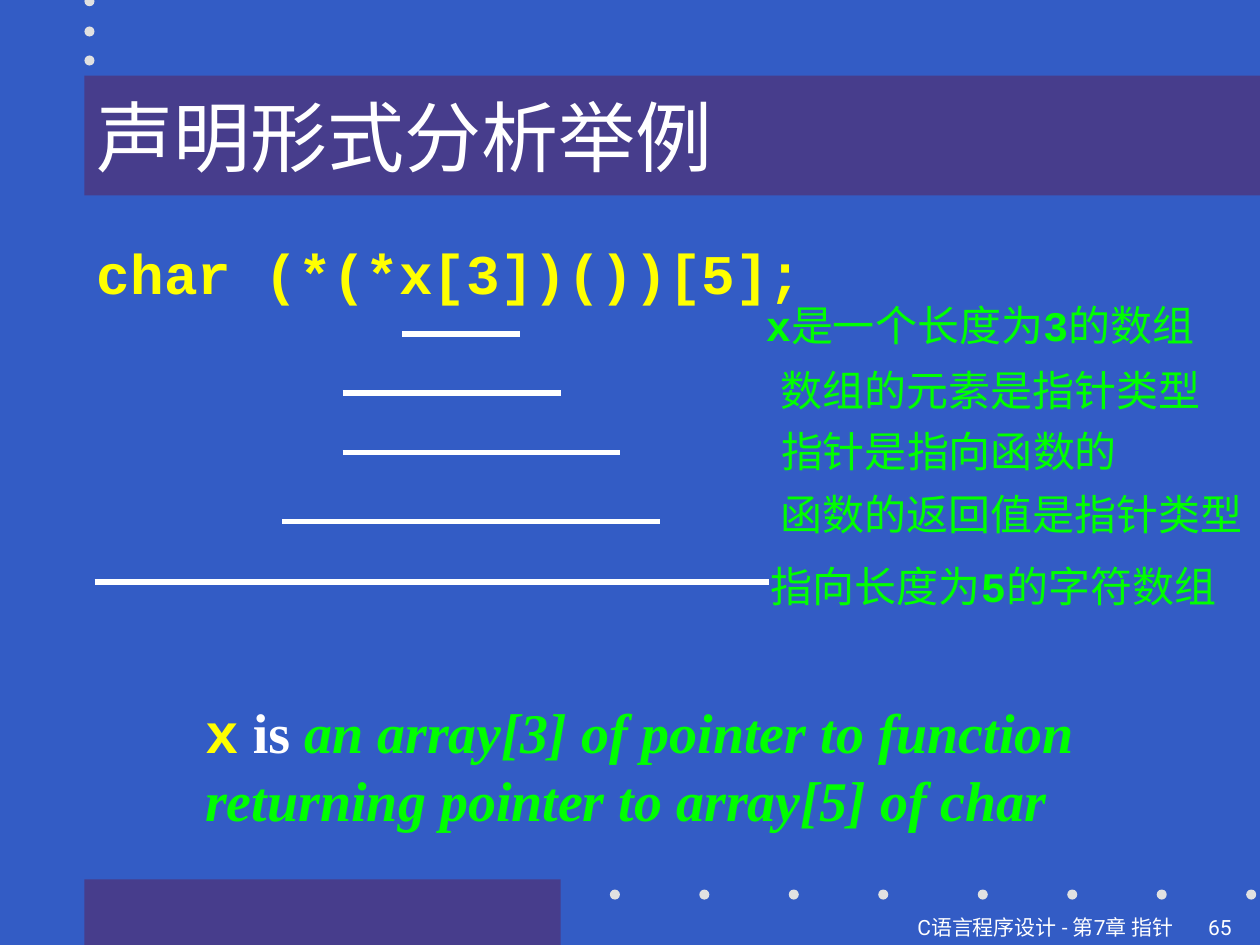
import dataclasses

import pptx
import pptx.dml.color
import pptx.enum.shapes
import pptx.enum.text
import pptx.oxml
import pptx.oxml.ns
import pptx.presentation
import pptx.shapes.autoshape
import pptx.slide
import pptx.text.text
import pptx.util

Inches = pptx.util.Inches
SHAPES = pptx.enum.shapes.MSO_SHAPE
ALIGN = pptx.enum.text.PP_ALIGN

COLORS = {
    "background": "335CC5",
    "band": "473D8C",
    "dot": "E1E1E1",
    "plain": "FFFFFF",
    "code": "FFFF00",
    "meaning": "00FF00",
}
CODE_FONT, PROSE_FONT, FOOTER_FONT = "Courier New", "Times New Roman", "Roboto"
DOT_SIZE = 0.08


@dataclasses.dataclass(frozen=True)
class Span:
    text: str
    size: int
    font: str
    color: str
    bold: bool = False
    italic: bool = False


@dataclasses.dataclass(frozen=True)
class Box:
    left: float
    top: float
    width: float
    height: float

    def lengths(self) -> list[pptx.util.Length]:
        return [Inches(v) for v in (self.left, self.top, self.width, self.height)]


@dataclasses.dataclass(frozen=True)
class Step:
    """One reading step: the underlined part of the declaration and its meaning."""
    line_start: float
    line_end: float
    line_y: float
    box: Box
    spans: list[Span]


def rgb(name: str) -> pptx.dml.color.RGBColor:
    return pptx.dml.color.RGBColor.from_string(COLORS[name])


def meaning(text: str, bold: bool = False) -> Span:
    return Span(text, 24, CODE_FONT, "meaning", bold)


def sentence(text: str) -> Span:
    return Span(text, 32, PROSE_FONT, "meaning", True, True)


def footer(text: str) -> Span:
    return Span(text, 12, FOOTER_FONT, "plain")


STEPS = [
    Step(3.19, 4.13, 2.65, Box(5.98, 2.33, 3.9, 0.5),
         [meaning("x", True), meaning("是一个长度为"), meaning("3", True), meaning("的数组")]),
    Step(2.72, 4.45, 3.12, Box(6.1, 2.84, 3.6, 0.5), [meaning("数组的元素是指针类型")]),
    Step(2.72, 4.92, 3.59, Box(6.1, 3.33, 2.95, 0.5), [meaning("指针是指向函数的")]),
    Step(2.24, 5.24, 4.14, Box(6.1, 3.83, 3.9, 0.5), [meaning("函数的返回值是指针类型")]),
    Step(0.75, 6.1, 4.62, Box(6.02, 4.4, 3.95, 0.5),
         [meaning("指向长度为"), meaning("5", True), meaning("的字符数组")]),
]


def add_spans(paragraph: pptx.text.text._Paragraph, spans: list[Span]) -> None:
    for span in spans:
        run = paragraph.add_run()
        run.text = span.text
        run.font.size = pptx.util.Pt(span.size)
        run.font.name = span.font
        run.font.bold = span.bold
        run.font.italic = span.italic
        run.font.color.rgb = rgb(span.color)


def add_text(slide: pptx.slide.Slide, box: Box, lines: list[list[Span]],
             wrap: bool = False, align: ALIGN = ALIGN.LEFT) -> None:
    frame = slide.shapes.add_textbox(*box.lengths()).text_frame
    frame.word_wrap = wrap
    if not wrap:
        frame.auto_size = pptx.enum.text.MSO_AUTO_SIZE.SHAPE_TO_FIT_TEXT
    for index, spans in enumerate(lines):
        paragraph = frame.add_paragraph() if index else frame.paragraphs[0]
        paragraph.alignment = align
        add_spans(paragraph, spans)


def add_filled(slide: pptx.slide.Slide, kind: SHAPES, box: Box,
               color: str) -> pptx.shapes.autoshape.Shape:
    shape = slide.shapes.add_shape(kind, *box.lengths())
    shape.shadow.inherit = False
    shape.fill.solid()
    shape.fill.fore_color.rgb = rgb(color)
    shape.line.fill.background()
    return shape


def add_dot(slide: pptx.slide.Slide, left: float, top: float) -> None:
    add_filled(slide, SHAPES.OVAL, Box(left, top, DOT_SIZE, DOT_SIZE), "dot")


def add_underline(slide: pptx.slide.Slide, step: Step) -> None:
    underline = slide.shapes.add_connector(
        pptx.enum.shapes.MSO_CONNECTOR.STRAIGHT,
        Inches(step.line_start), Inches(step.line_y),
        Inches(step.line_end), Inches(step.line_y))
    underline.line.color.rgb = rgb("plain")
    underline.line.width = pptx.util.Pt(3)
    properties = underline._element.spPr
    properties.append(pptx.oxml.parse_xml(
        f"<a:effectLst {pptx.oxml.ns.nsdecls('a')}/>"))


def add_decoration(slide: pptx.slide.Slide) -> None:
    add_filled(slide, SHAPES.RECTANGLE, Box(0.67, 6.98, 3.78, 0.52), "band")
    for top in (-0.03, 0.21, 0.44):
        add_dot(slide, 0.67, top)
    for group_left in (4.84, 7.76):
        for column in range(4):
            add_dot(slide, group_left + 0.71 * column, 7.06)


def add_title(slide: pptx.slide.Slide, title: str) -> None:
    band = add_filled(slide, SHAPES.RECTANGLE, Box(0.67, 0.6, 9.33, 0.95), "band")
    frame = band.text_frame
    frame.word_wrap = True
    frame.vertical_anchor = pptx.enum.text.MSO_ANCHOR.MIDDLE
    frame.paragraphs[0].alignment = ALIGN.LEFT
    add_spans(frame.paragraphs[0], [Span(title, 44, PROSE_FONT, "plain")])


def main() -> None:
    deck = pptx.Presentation()
    deck.slide_width, deck.slide_height = Inches(10), Inches(7.5)
    slide = deck.slides.add_slide(deck.slide_layouts[6])
    slide.background.fill.solid()
    slide.background.fill.fore_color.rgb = rgb("background")

    add_decoration(slide)
    add_title(slide, "声明形式分析举例")
    add_text(slide, Box(0.67, 1.84, 5.85, 0.64),
             [[Span("char (*(*x[3])())[5];", 32, CODE_FONT, "code", True)]])
    for step in STEPS:
        add_underline(slide, step)
        add_text(slide, step.box, [step.spans], wrap=True)
    add_text(slide, Box(1.53, 5.49, 7.3, 1.17), [
        [Span("x", 32, CODE_FONT, "code", True),
         Span(" is ", 32, PROSE_FONT, "plain", True),
         sentence("an array[3] of pointer to function")],
        [sentence("returning pointer to array[5] of char")],
    ], wrap=True)
    add_text(slide, Box(0, 7.21, 9.41, 0.28),
             [[footer("C语言程序设计 - 第7章 指针")]], wrap=True, align=ALIGN.RIGHT)
    add_text(slide, Box(9.49, 7.21, 0.51, 0.28), [[footer("65")]], wrap=True)
    deck.save("out.pptx")


if __name__ == "__main__":
    main()
